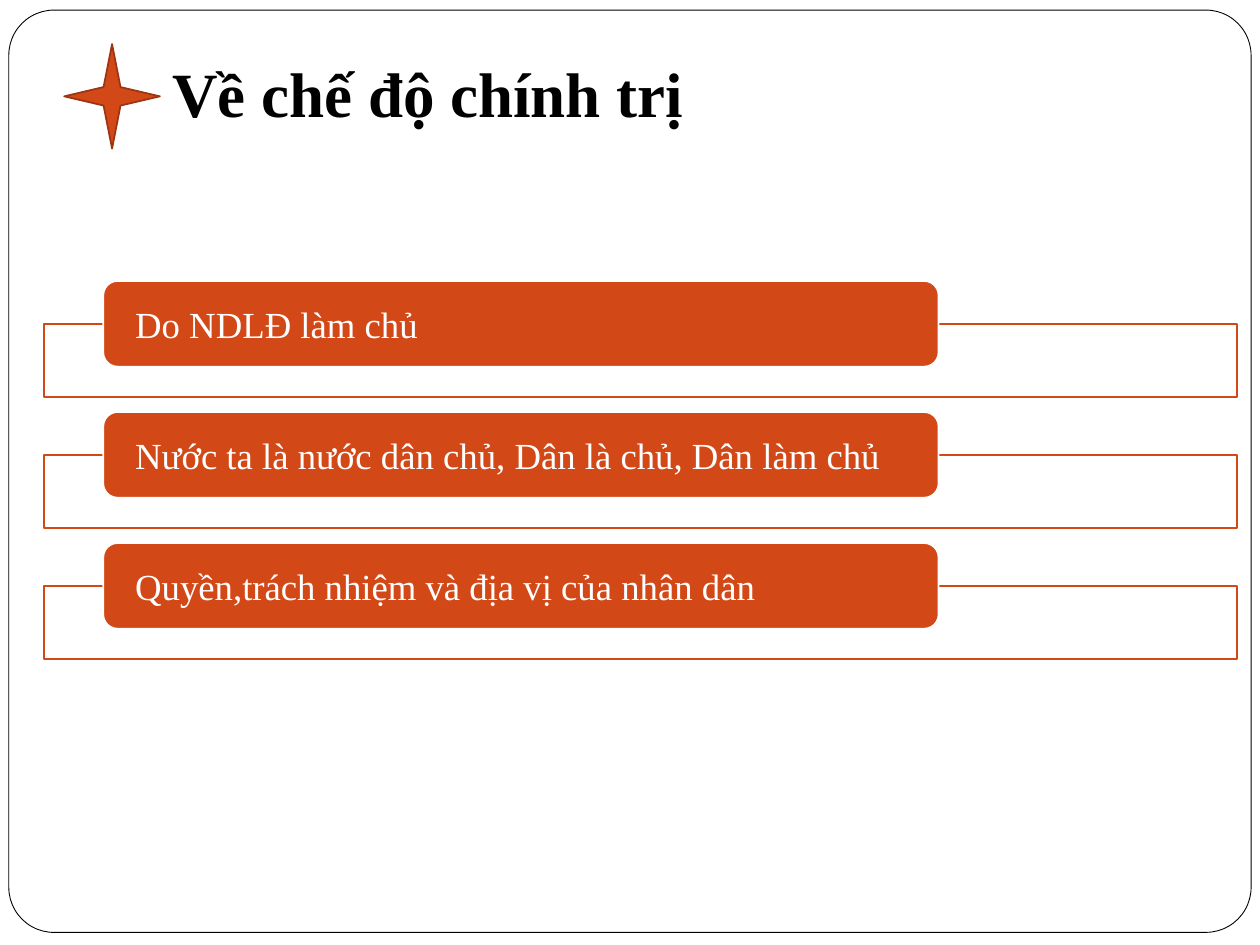
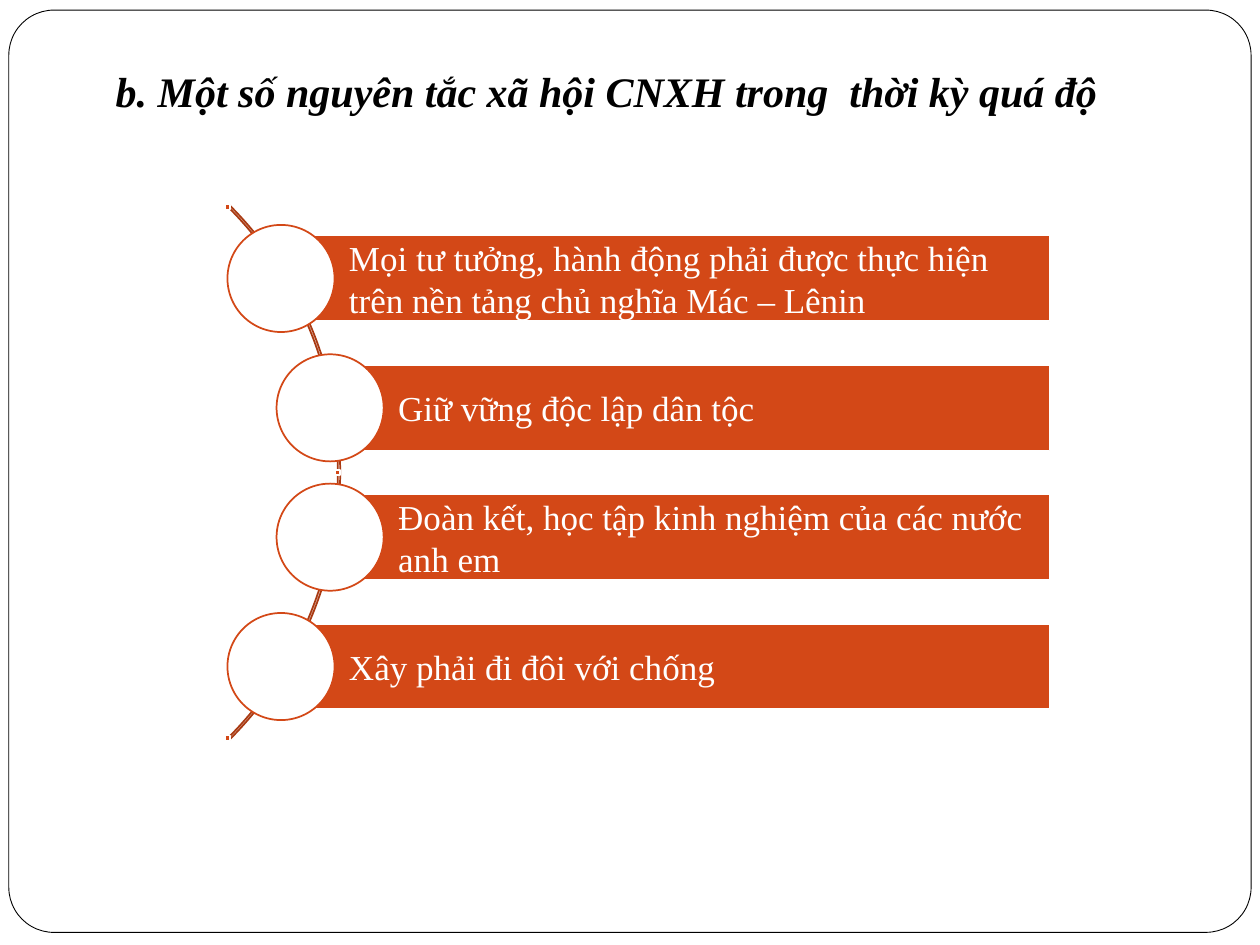
from dataclasses import dataclass
from math import cos, radians, sin

from pptx import Presentation
from pptx.dml.color import RGBColor
from pptx.enum.shapes import MSO_SHAPE as Shape
from pptx.enum.text import MSO_ANCHOR as Anchor, PP_ALIGN as Align
from pptx.util import Inches, Pt


@dataclass(frozen=True)
class Theme:
    font: str = "Times New Roman"
    accent: str = "D34817"
    star_edge: str = "9C3511"
    arc_edge: str = "A93A12"
    paper: str = "FFFFFF"
    ink: str = "000000"
    title_size: float = 36
    heading_size: float = 24
    card_size: float = 21
    bar_size: float = 20


@dataclass(frozen=True)
class Box:
    left: float
    top: float
    width: float
    height: float

    def lengths(self):
        return [Inches(n) for n in (self.left, self.top, self.width, self.height)]


THEME = Theme()


def add_figure(page, kind, box, fill, line, weight=1, adjustments=()):
    """Add a preset shape; a fill of None leaves it hollow."""
    figure = page.shapes.add_shape(kind, *box.lengths())
    figure.shadow.inherit = False
    if fill:
        figure.fill.solid()
        figure.fill.fore_color.rgb = RGBColor.from_string(fill)
    else:
        figure.fill.background()
    figure.line.color.rgb = RGBColor.from_string(line)
    figure.line.width = Pt(weight)
    for index, value in enumerate(adjustments):
        figure.adjustments[index] = value
    return figure


def write(figure, text, size, color, anchor, insets, bold=False, italic=False):
    """Set one left-aligned paragraph; insets run left, top, right, bottom."""
    frame = figure.text_frame
    frame.word_wrap = True
    frame.vertical_anchor = anchor
    (frame.margin_left, frame.margin_top,
     frame.margin_right, frame.margin_bottom) = [Inches(n) for n in insets]
    para = frame.paragraphs[0]
    para.text = text
    para.alignment = Align.LEFT
    font = para.font
    font.name, font.size = THEME.font, Pt(size)
    font.bold, font.italic = bold, italic
    font.color.rgb = RGBColor.from_string(color)
    return para


def add_page(deck):
    """Start a blank page with the shared rounded frame."""
    page = deck.slides.add_slide(deck.slide_layouts[6])
    add_figure(page, Shape.ROUNDED_RECTANGLE, Box(0.07, 0.08, 9.86, 7.32),
               THEME.paper, THEME.ink, 0.5, [0.049])
    return page


def add_heading(page, box, text, size, anchor, bottom=0.05, italic=False):
    heading = page.shapes.add_textbox(*box.lengths())
    return write(heading, text, size, THEME.ink, anchor,
                 (0.1, 0.05, 0.1, bottom), bold=True, italic=italic)


def add_card_list(page, box, texts):
    """Stack rounded cards, each overlapping the outlined tray below it."""
    pitch, card_height, tray_height = 1.04, 0.68, 0.58
    for row, text in enumerate(texts):
        top = box.top + row * pitch
        add_figure(page, Shape.RECTANGLE,
                   Box(box.left, top + card_height / 2, box.width, tray_height),
                   THEME.paper, THEME.accent)
        card = add_figure(page, Shape.ROUNDED_RECTANGLE,
                          Box(box.left + 0.47, top, box.width * 0.7, card_height),
                          THEME.accent, THEME.paper)
        write(card, text, THEME.card_size, THEME.paper, Anchor.MIDDLE,
              (0.22, 0, 0.22, 0))


def add_arc_list(page, box, texts):
    """Hang bars with round heads on an arc, the middle ones set further right."""
    bar_height, head, indent, dot = 0.68, 0.85, 0.39, 0.04
    pitch = (box.height - bar_height) / (len(texts) - 1)
    center_x, center_y = box.left - 2.53, box.top + box.height / 2
    radius = 3

    # Arc behind the bars
    add_figure(page, Shape.BLOCK_ARC,
               Box(center_x - radius, center_y - radius, 2 * radius, 2 * radius),
               None, THEME.arc_edge, adjustments=[189, 27, 0.003])

    # Bars and their round heads
    for row, text in enumerate(texts):
        shift = indent if 0 < row < len(texts) - 1 else 0
        left, top = box.left + shift, box.top + row * pitch
        bar = add_figure(page, Shape.RECTANGLE,
                         Box(left, top, box.width - shift, bar_height),
                         THEME.accent, THEME.paper)
        write(bar, text, THEME.bar_size, THEME.paper, Anchor.MIDDLE,
              (0.54, 0.06, 0.06, 0.06))
        add_figure(page, Shape.OVAL,
                   Box(left - head / 2, top + (bar_height - head) / 2, head, head),
                   THEME.paper, THEME.accent)

    # Dots at the ends and middle of the arc
    reach = radius - dot / 2
    for angle in (-45, 0, 45):
        x = center_x + reach * cos(radians(angle))
        y = center_y + reach * sin(radians(angle))
        add_figure(page, Shape.RECTANGLE, Box(x - dot / 2, y - dot / 2, dot, dot),
                   THEME.accent, THEME.paper)


def build_politics_page(deck):
    page = add_page(deck)
    add_heading(page, Box(1.27, 0.4, 7.87, 0.73), "Về chế độ chính trị",
                THEME.title_size, Anchor.BOTTOM, bottom=0.1)
    add_card_list(page, Box(0.35, 2.23, 9.47, 3), [
        "Do NDLĐ làm chủ",
        "Nước ta là nước dân chủ, Dân là chủ, Dân làm chủ",
        "Quyền,trách nhiệm và địa vị của nhân dân",
    ])
    add_figure(page, Shape.STAR_4_POINT, Box(0.51, 0.35, 0.76, 0.83),
               THEME.accent, THEME.star_edge)


def build_principles_page(deck):
    page = add_page(deck)
    heading = add_heading(page, Box(0.82, 0.47, 8.55, 6.19),
                          "b. Một số nguyên tắc xã hội CNXH trong  thời kỳ quá độ",
                          THEME.heading_size, Anchor.TOP, italic=True)
    heading.space_before = Pt(5.8)
    add_arc_list(page, Box(2.23, 1.87, 6.1, 3.76), [
        "Mọi tư tưởng, hành động phải được thực hiện trên nền tảng chủ nghĩa Mác – Lênin",
        "Giữ vững độc lập dân tộc",
        "Đoàn kết, học tập kinh nghiệm của các nước anh em",
        "Xây phải đi đôi với chống",
    ])


def main():
    deck = Presentation()
    deck.slide_width, deck.slide_height = Inches(10), Inches(7.5)
    build_politics_page(deck)
    build_principles_page(deck)
    deck.save("out.pptx")


if __name__ == "__main__":
    main()
